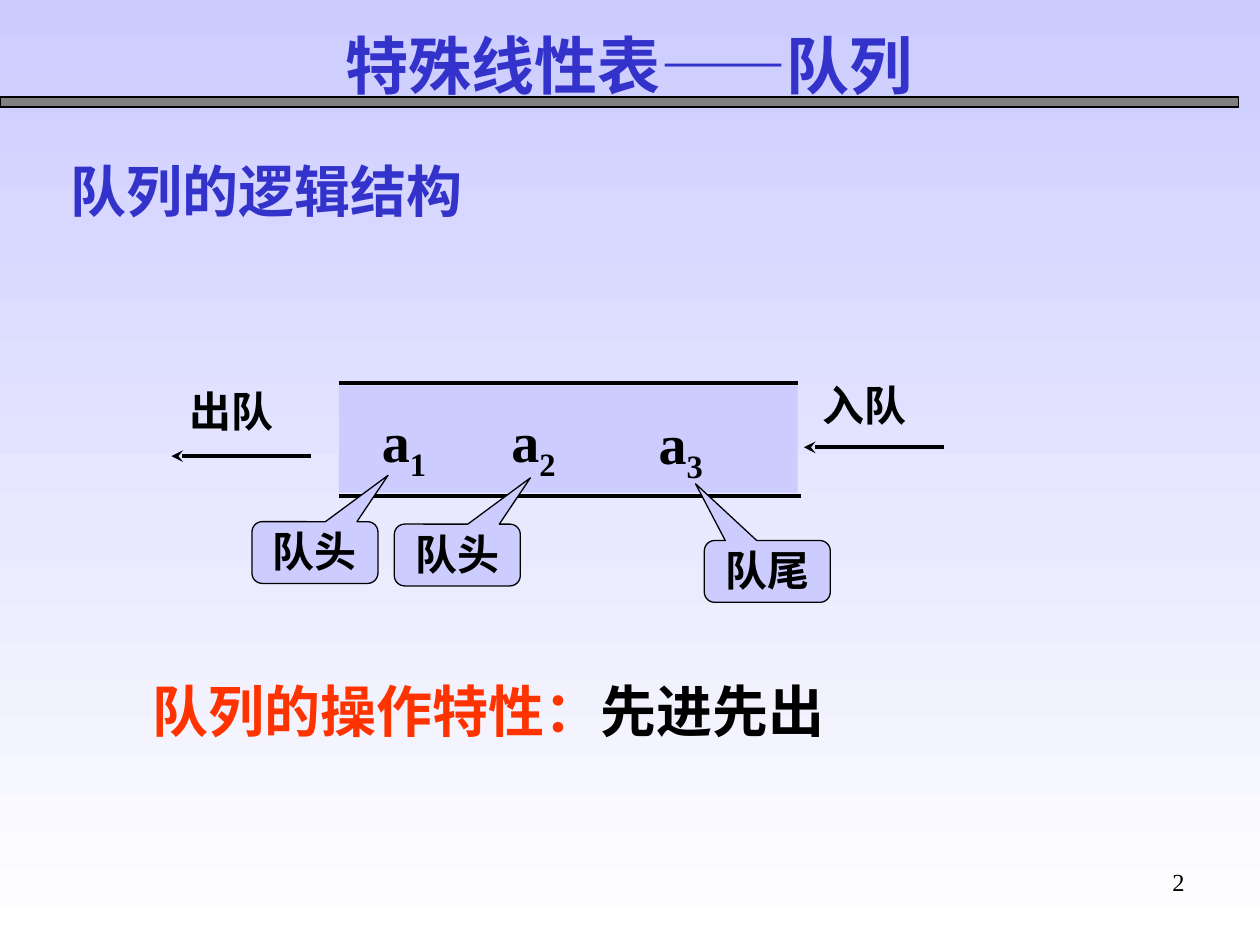
from lxml import etree
from pptx import Presentation
from pptx.dml.color import RGBColor
from pptx.enum.shapes import MSO_CONNECTOR, MSO_SHAPE
from pptx.enum.text import MSO_ANCHOR, MSO_AUTO_SIZE, PP_ALIGN
from pptx.oxml.ns import qn
from pptx.util import Inches, Pt

LINE = MSO_CONNECTOR.STRAIGHT
RECT = MSO_SHAPE.RECTANGLE
CALL = MSO_SHAPE.ROUNDED_RECTANGULAR_CALLOUT
GROW = MSO_AUTO_SIZE.SHAPE_TO_FIT_TEXT
TOP = MSO_ANCHOR.TOP
MID, RIGHT = PP_ALIGN.CENTER, PP_ALIGN.RIGHT

FONT = "Times New Roman"
BLACK, BLUE, RED = "000000", "3333CC", "FF3300"
LILAC, GRAY, WHITE = "CCCCFF", "808080", "FFFFFF"

# Content: text, size, colour, box
TITLE = ("特殊线性表——队列", 36, BLUE, (2.64, 0.16, 5.89, 0.7))
LABELS = [
    ("队列的逻辑结构", 32, BLUE, (0.46, 1.19, 5.58, 0.63)),
    ("入队", 24, BLACK, (6.43, 2.96, 1.08, 0.5)),
    ("出队", 24, BLACK, (1.41, 3.01, 1, 0.5)),
]
RULE = ("队列的操作特性：", "先进先出", (1.11, 5.32, 6.79, 0.63))
# Index, box, side inset, wrap
ITEMS = [
    ("1", (3.03, 3.18, 0.42, 0.63), 0, True),
    ("2", (3.96, 3.18, 0.57, 0.63), 0.1, False),
    ("3", (5.13, 3.19, 0.57, 0.63), 0.1, False),
]
# Text, left, top, pointer offset
CALLS = [
    ("队尾", 5.59, 4.29, (-0.57, -1.42)),
    ("队头", 2, 4.14, (0.58, -1.25)),
    ("队头", 3.13, 4.16, (0.58, -1.25)),
]
# Start x, end x, y, arrow
LINES = [
    (2.69, 6.33, 3.04, False),
    (2.69, 6.36, 3.94, False),
    (7.49, 6.38, 3.55, True),
    (2.47, 1.36, 3.62, True),
]


def color(code):
    return RGBColor.from_string(code)


def style(par, size, code, bold=True):
    font = par.font
    font.name, font.size, font.bold = FONT, Pt(size), bold
    font.color.rgb = color(code)


def space(par):
    """Space before of half a line."""
    gap = etree.SubElement(par._p.get_or_add_pPr(), qn("a:spcBef"))
    etree.SubElement(gap, qn("a:spcPct"), val="50000")
    par._p.pPr.insert(0, gap)


def add_text(text, size, code, box, side=0.1, wrap=True):
    shape = slide.shapes.add_textbox(*map(Inches, box))
    frame = shape.text_frame
    frame.word_wrap, frame.auto_size = wrap, GROW
    frame.margin_left = frame.margin_right = Inches(side)
    par = frame.paragraphs[0]
    par.add_run().text = text
    style(par, size, code)
    space(par)
    return par


def add_box(kind, box, fill, edge=True):
    shape = slide.shapes.add_shape(kind, *map(Inches, box))
    shape.shadow.inherit = False
    shape.fill.solid()
    shape.fill.fore_color.rgb = color(fill)
    if edge:
        shape.line.color.rgb = color(BLACK)
        shape.line.width = Pt(0.75)
    else:
        shape.line.fill.background()
    return shape


def add_line(x1, x2, y, arrow):
    line = slide.shapes.add_connector(LINE, *map(Inches, (x1, y, x2, y)))
    line.line.color.rgb = color(BLACK)
    line.line.width = Pt(2.25)
    if arrow:
        etree.SubElement(line.line._get_or_add_ln(), qn("a:tailEnd"), type="stealth")
    etree.SubElement(line._element.spPr, qn("a:effectLst"))


def add_call(text, left, top, tip):
    shape = add_box(CALL, (left, top, 1, 0.49), LILAC)
    shape.adjustments[0], shape.adjustments[1] = tip
    frame = shape.text_frame
    frame.vertical_anchor = TOP
    frame.margin_left = frame.margin_right = 0
    frame.margin_top, frame.margin_bottom = Inches(0.01), Inches(0.05)
    par = frame.paragraphs[0]
    par.add_run().text = text
    par.alignment = MID
    style(par, 24, BLACK)
    space(par)


def add_shade(run):
    """Gray shadow behind the letters."""
    props = run._r.get_or_add_rPr()
    glow = etree.SubElement(props, qn("a:effectLst"))
    shade = etree.SubElement(glow, qn("a:outerShdw"), dist="38100", dir="2700000")
    etree.SubElement(shade, qn("a:srgbClr"), val=GRAY)


deck = Presentation()
deck.slide_width, deck.slide_height = Inches(10), Inches(7.5)
slide = deck.slides.add_slide(deck.slide_layouts[6])

# Background
back = slide.background.fill
back.gradient()
back.gradient_angle = 270
for stop, code in zip(back.gradient_stops, (LILAC, WHITE)):
    stop.color.rgb = color(code)

# Bar and page number
add_box(RECT, (0, 0.77, 9.83, 0.08), GRAY)
page = slide.shapes.add_textbox(*map(Inches, (7.17, 6.83, 2.33, 0.52)))
page.text_frame.word_wrap = True
num = page.text_frame.paragraphs[0]
num.add_run().text = "2"
num.alignment = RIGHT
style(num, 14, BLACK, False)

# Queue and arrows
for row in LINES:
    add_line(*row)
add_box(RECT, (2.69, 3.06, 3.64, 0.85), LILAC, False)
for index, box, side, wrap in ITEMS:
    par = add_text("a", 32, BLACK, box, side, wrap)
    sub = par.add_run()
    sub.text = index
    sub.font._element.set("baseline", "-25000")
for row in CALLS:
    add_call(*row)

# Headings and rule
add_shade(add_text(*TITLE).runs[0])
for row in LABELS:
    add_text(*row)
head, tail, box = RULE
par = add_text(head, 32, RED, box)
end = par.add_run()
end.text = tail
end.font.color.rgb = color(BLACK)

deck.save("out.pptx")
